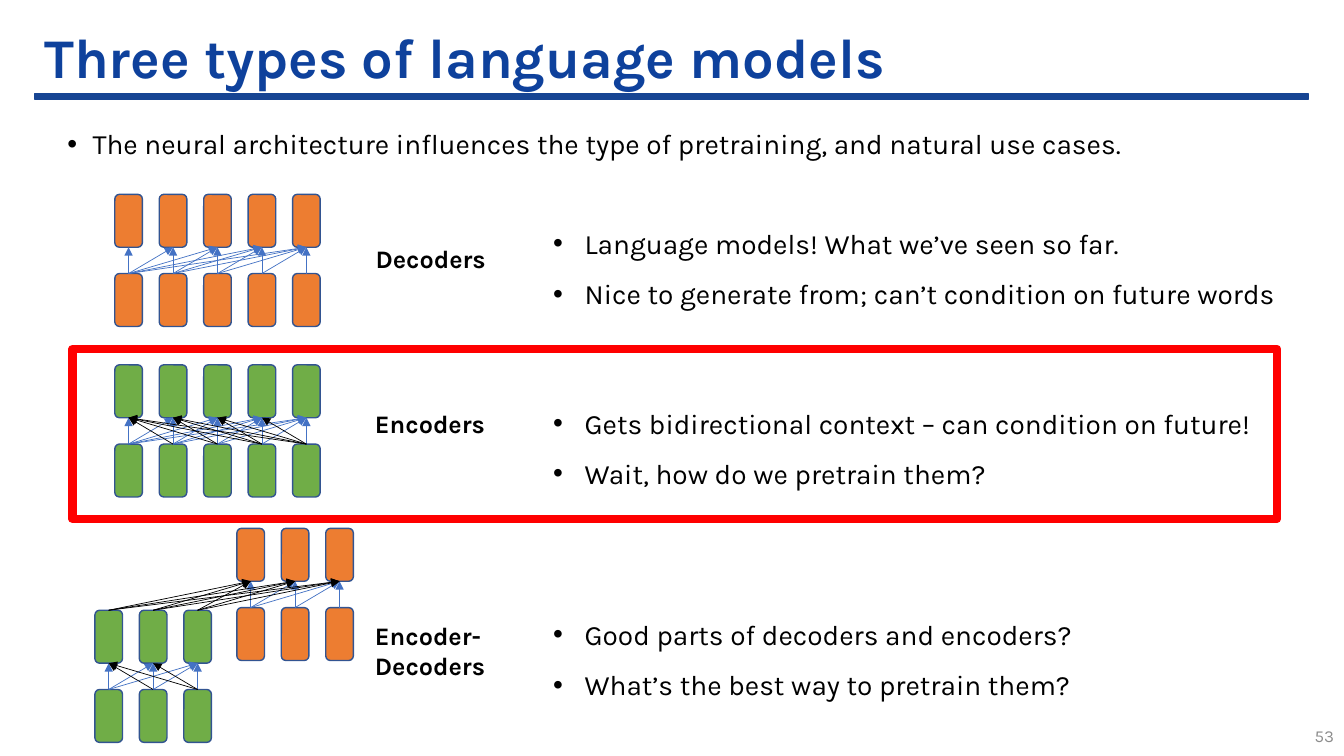
from lxml.etree import SubElement
from pptx import Presentation
from pptx.dml.color import RGBColor
from pptx.enum.shapes import MSO_CONNECTOR, MSO_SHAPE
from pptx.enum.text import MSO_ANCHOR, MSO_AUTO_SIZE, PP_ALIGN
from pptx.oxml.ns import qn
from pptx.util import Pt

FONT = "Karla"
NAVY = RGBColor(0x0E, 0x41, 0x9C)
RULE_BLUE = RGBColor(0x17, 0x45, 0x93)
OUTLINE = RGBColor(0x32, 0x54, 0x91)
ORANGE = RGBColor(0xED, 0x7D, 0x31)
GREEN = RGBColor(0x70, 0xAD, 0x47)
ARROW_BLUE = RGBColor(0x44, 0x72, 0xC4)
BLACK = RGBColor(0, 0, 0)
GRAY = RGBColor(0x8C, 0x8C, 0x8C)
RED = RGBColor(0xFF, 0, 0)

CELL_W, CELL_H = 19.7, 37.8
PITCH = 31.75
ROW_STEP = 56.6

MODELS = [
    ("Decoders", 261.2, 169.9, 146.2,
     ["Language models! What we’ve seen so far.",
      "Nice to generate from; can’t condition on future words"]),
    ("Encoders", 260.8, 288, 274.5,
     ["Gets bidirectional context – can condition on future!",
      "Wait, how do we pretrain them?"]),
    ("Encoder-Decoders", 260.8, 439.3, 425.5,
     ["Good parts of decoders and encoders?",
      "What’s the best way to pretrain them?"]),
]


def style_text(p, size, color, bold=False):
    """Format every run of a paragraph."""
    for r in p.runs:
        r.font.name = FONT
        r.font.size = Pt(size)
        r.font.bold = bold
        r.font.color.rgb = color


def add_bullet(p, indent):
    """Give a paragraph a round bullet with a hanging indent."""
    pPr = p._p.get_or_add_pPr()
    pPr.set("marL", str(Pt(indent)))
    pPr.set("indent", str(-Pt(indent)))
    SubElement(pPr, qn("a:buFont"), typeface="Arial")
    SubElement(pPr, qn("a:buChar"), char="•")


def add_text(slide, box, lines, size, color=BLACK, bold=False, indent=None):
    """Add a wrapping text box, bulleted when an indent is given."""
    tf = slide.shapes.add_textbox(*map(Pt, box)).text_frame
    tf.word_wrap = True
    tf.text = "\n".join(lines)
    for p in tf.paragraphs:
        if indent:
            add_bullet(p, indent)
        style_text(p, size, color, bold)
    return tf


def add_box(slide, preset, box, fill, line, weight=1):
    """Add a shadowless preset shape; no fill when fill is None."""
    sp = slide.shapes.add_shape(preset, *map(Pt, box))
    sp.shadow.inherit = False
    if fill is None:
        sp.fill.background()
    else:
        sp.fill.solid()
        sp.fill.fore_color.rgb = fill
    sp.line.color.rgb = line
    sp.line.width = Pt(weight)


def add_arrow(slide, start, end, color):
    """Add a thin straight arrow between two points."""
    cxn = slide.shapes.add_connector(
        MSO_CONNECTOR.STRAIGHT, *map(Pt, (*start, *end)))
    cxn.line.color.rgb = color
    cxn.line.width = Pt(0.5)
    SubElement(cxn.line._get_or_add_ln(), qn("a:tailEnd"), type="triangle")
    SubElement(cxn._element.spPr, qn("a:effectLst"))


def add_network(slide, left, top, count, fill, bidirectional=False):
    """Draw two rows of cells with arrows and return the column centres."""
    for y in (top, top + ROW_STEP):
        for i in range(count):
            add_box(slide, MSO_SHAPE.ROUNDED_RECTANGLE,
                    (left + i * PITCH, y, CELL_W, CELL_H), fill, OUTLINE)
    centres = [left + CELL_W / 2 + i * PITCH for i in range(count)]
    links = [(a, b, ARROW_BLUE) for a in centres for b in centres if a <= b]
    if bidirectional:
        links += [(a, b, BLACK) for a in centres for b in centres if a > b]
    for a, b, color in links:
        add_arrow(slide, (a, top + ROW_STEP), (b, top + CELL_H), color)
    return centres


def add_title(slide, text):
    """Fill and place the title and draw the rule below it."""
    add_box(slide, MSO_SHAPE.RECTANGLE, (24.5, 67, 910, 3.6),
            RULE_BLUE, RULE_BLUE)
    sp = slide.shapes.title
    sp.left, sp.top, sp.width, sp.height = map(Pt, (24.5, 18.7, 910, 48.2))
    tf = sp.text_frame
    tf.text = text
    tf.auto_size = MSO_AUTO_SIZE.NONE
    tf.vertical_anchor = MSO_ANCHOR.MIDDLE
    p = tf.paragraphs[0]
    p.alignment = PP_ALIGN.LEFT
    p.line_spacing = 0.9
    style_text(p, 40, NAVY, True)


def add_model(slide, name, left, label_top, points_top, points):
    """Add the name of a model type and its bullet points."""
    add_text(slide, (left, label_top, 108, 29), [name], 18, bold=True)
    tf = add_text(slide, (388, points_top, 534, 75), points, 20, indent=22.5)
    for p in tf.paragraphs:
        p.line_spacing = 1.5


def main():
    """Build the slide and save it."""
    prs = Presentation()
    prs.slide_width, prs.slide_height = Pt(960), Pt(540)
    slide = prs.slides.add_slide(prs.slide_layouts[5])
    add_title(slide, "Three types of language models")
    add_text(slide, (41, 87.1, 871, 38),
             ["The neural architecture influences the type of pretraining, "
              "and natural use cases."], 20, indent=18)
    tf = add_text(slide, (912, 511.2, 48, 28.8), ["53"], 12, GRAY)
    tf.vertical_anchor = MSO_ANCHOR.MIDDLE
    tf.paragraphs[0].alignment = PP_ALIGN.RIGHT

    add_network(slide, 82, 138.8, 5, ORANGE)
    add_network(slide, 82, 260.6, 5, GREEN, bidirectional=True)
    decoder_top, encoder_top = 377.4, 435.9
    decoder = add_network(slide, 169.2, decoder_top, 3, ORANGE)
    encoder = add_network(slide, 67.8, encoder_top, 3, GREEN,
                          bidirectional=True)
    for b in decoder:
        for a in encoder:
            add_arrow(slide, (a, encoder_top), (b, decoder_top + CELL_H),
                      BLACK)
    for model in MODELS:
        add_model(slide, *model)
    add_box(slide, MSO_SHAPE.RECTANGLE, (51.8, 249.2, 860.4, 121.4),
            None, RED, 6)
    prs.save("out.pptx")


if __name__ == "__main__":
    main()
